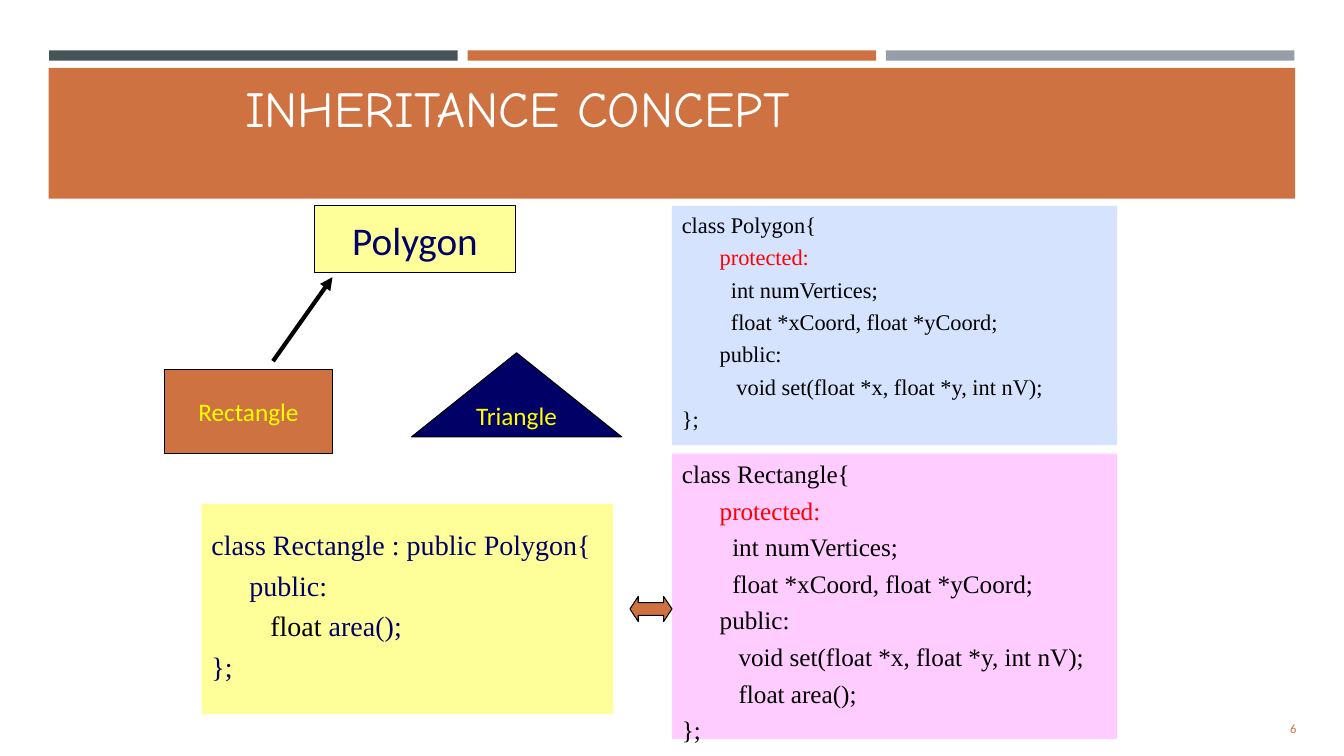
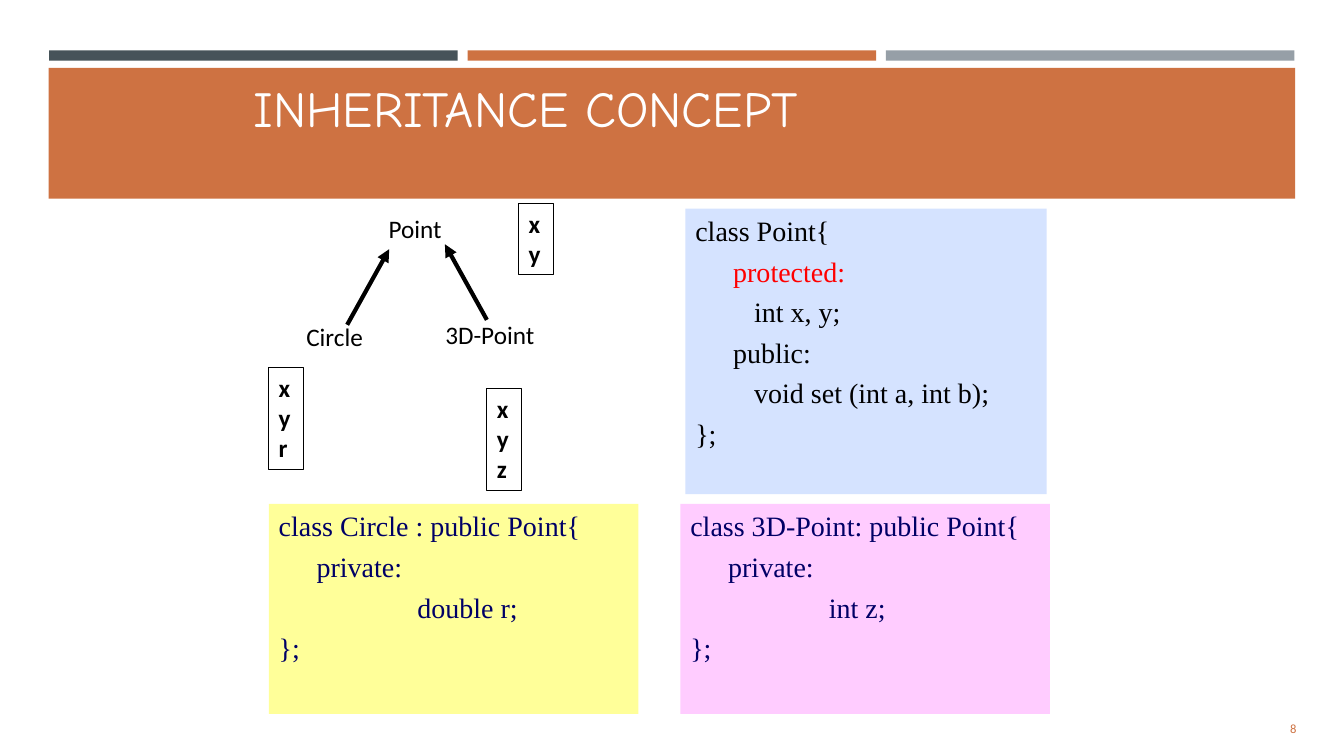
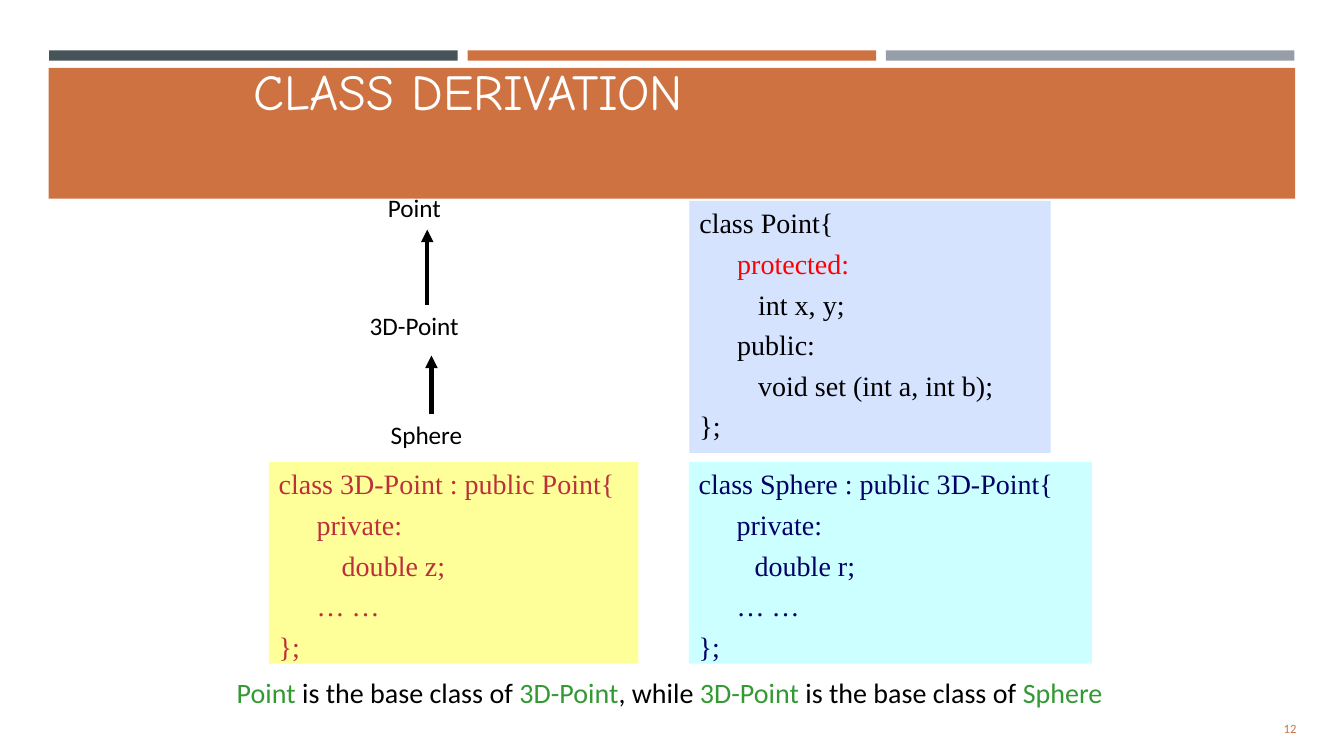
from dataclasses import dataclass

import lxml.etree
import pptx
import pptx.dml.color
import pptx.enum.shapes
import pptx.enum.text
import pptx.oxml.ns
import pptx.util

Pt = pptx.util.Pt
Preset = pptx.enum.shapes.MSO_SHAPE
Anchor = pptx.enum.text.MSO_ANCHOR
Align = pptx.enum.text.PP_ALIGN
qn = pptx.oxml.ns.qn

COLORS = {
    "slate": "465359",
    "orange": "CE7242",
    "grey": "969FA7",
    "white": "FFFFFF",
    "black": "000000",
    "navy": "000066",
    "yellow": "FFFF00",
    "cream": "FFFF99",
    "sky": "D5E3FF",
    "pink": "FFCCFF",
    "cyan": "CCFFFF",
    "red": "FF0000",
    "crimson": "BC303B",
    "green": "339933",
}
BODY, CODE, TITLE = "Calibri", "Times New Roman", "Comic Neue"
TAB = 27


@dataclass(frozen=True)
class Run:
    text: str
    color: str | None = None


@dataclass(frozen=True)
class Line:
    runs: tuple[Run, ...]
    indent: float = 0
    em: float = 0


@dataclass(frozen=True)
class Box:
    left: float
    top: float
    width: float
    height: float


@dataclass(frozen=True)
class Node:
    box: Box
    text: str
    fill: str
    ink: str
    size: float = 18
    preset: Preset = Preset.RECTANGLE


@dataclass(frozen=True)
class Listing:
    box: Box
    fill: str
    ink: str
    lines: tuple[Line, ...]
    size: float = 20
    top_inset: float = 3.6


@dataclass(frozen=True)
class Arrow:
    tail: tuple[float, float]
    tip: tuple[float, float]


def line(text: str, indent: float = 0, em: float = 0, color: str | None = None) -> Line:
    return Line((Run(text, color),), indent, em)


def rgb(name: str) -> pptx.dml.color.RGBColor:
    return pptx.dml.color.RGBColor.from_string(COLORS[name])


def write(frame, lines: tuple[Line, ...], *, size: float, color: str = "black", font: str = BODY,
          bold: bool = False, align=Align.LEFT, anchor=Anchor.TOP, wrap: bool = True,
          before: float = 0, top_inset: float = 3.6) -> None:
    frame.word_wrap = wrap
    frame.vertical_anchor = anchor
    frame.margin_top = Pt(top_inset)
    for index, content in enumerate(lines):
        paragraph = frame.add_paragraph() if index else frame.paragraphs[0]
        paragraph.alignment = align
        paragraph.space_before = Pt(before)
        indent = Pt(content.indent + content.em * size)
        paragraph._p.get_or_add_pPr().set("marL", str(int(indent)))
        for piece in content.runs:
            run = paragraph.add_run()
            run.text = piece.text
            run.font.name = font
            run.font.size = Pt(size)
            run.font.bold = bold
            run.font.color.rgb = rgb(piece.color or color)


def place(box: Box) -> tuple:
    return Pt(box.left), Pt(box.top), Pt(box.width), Pt(box.height)


def draw_shape(slide, box: Box, *, fill: str | None = None, outline: bool = False,
               preset: Preset = Preset.RECTANGLE):
    shape = slide.shapes.add_shape(preset, *place(box))
    shape.shadow.inherit = False
    if fill:
        shape.fill.solid()
        shape.fill.fore_color.rgb = rgb(fill)
    else:
        shape.fill.background()
    if outline:
        shape.line.color.rgb = rgb("black")
        shape.line.width = Pt(0.75)
    else:
        shape.line.fill.background()
    return shape


def draw_text(slide, box: Box, *runs: Run, **text_format) -> None:
    frame = slide.shapes.add_textbox(*place(box)).text_frame
    write(frame, (Line(runs),), **text_format)


def draw_node(slide, node: Node) -> None:
    shape = draw_shape(slide, node.box, fill=node.fill, outline=True, preset=node.preset)
    write(shape.text_frame, (line(node.text),), size=node.size, color=node.ink,
          align=Align.CENTER, anchor=Anchor.MIDDLE, wrap=False)


def draw_listing(slide, listing: Listing) -> None:
    shape = draw_shape(slide, listing.box, fill=listing.fill)
    write(shape.text_frame, listing.lines, size=listing.size, color=listing.ink, font=CODE,
          before=listing.size / 4, top_inset=listing.top_inset)


def draw_members(slide, left: float, top: float, members: str) -> None:
    box = Box(left, top, 24.8, 7.2 + 21.9 * len(members))
    shape = draw_shape(slide, box, outline=True)
    write(shape.text_frame, tuple(line(name) for name in members), size=18, bold=True, wrap=False)


def draw_arrow(slide, arrow: Arrow) -> None:
    connector = slide.shapes.add_connector(
        pptx.enum.shapes.MSO_CONNECTOR.STRAIGHT, *map(Pt, arrow.tail + arrow.tip))
    connector.line.color.rgb = rgb("black")
    connector.line.width = Pt(3)
    lxml.etree.SubElement(connector.line._get_or_add_ln(), qn("a:tailEnd"), type="triangle")
    lxml.etree.SubElement(connector._element.spPr, qn("a:effectLst"))


def start_slide(deck, title: str, number: int, title_left: float = 174, title_top: float = 48):
    slide = deck.slides.add_slide(deck.slide_layouts[6])
    for column, color in enumerate(("slate", "orange", "grey")):
        draw_shape(slide, Box(35.1 + 298.9 * column, 36, 291.8, 7.4), fill=color)
    draw_shape(slide, Box(34.8, 48.5, 890.4, 93.5), fill="orange")
    draw_text(slide, Box(850.3, 506.2, 82.8, 28.8), Run(str(number)), size=9, color="orange",
              align=Align.RIGHT, anchor=Anchor.MIDDLE)
    draw_text(slide, Box(title_left, title_top, 612, 54), Run(title), size=36, color="white",
              font=TITLE, anchor=Anchor.BOTTOM)
    return slide


VERTEX_MEMBERS = (
    line("protected:", TAB, color="red"),
    line("int numVertices;", TAB, 0.5),
    line("float *xCoord, float *yCoord;", TAB, 0.5),
    line("public:", TAB),
    line("void set(float *x, float *y, int nV);", TAB, 0.75),
)
END = line("};")
POINT_CLASS = (
    line("class Point{"),
    line("protected:", TAB, color="red"),
    line("int x, y;", TAB, 0.75),
    line("public:", TAB),
    line("void set (int a, int b);", TAB, 0.75),
    END,
)


def derived_class(header: str, member: str, indent: float, *rest: Line) -> tuple[Line, ...]:
    return (line(header), line("private:", TAB), line(member, indent), *rest, END)


def build_polygon_slide(deck) -> None:
    slide = start_slide(deck, "INHERITANCE CONCEPT", 6, title_left=168)
    for node in (
        Node(Box(117.5, 264, 120, 60), "Rectangle", "orange", "yellow"),
        Node(Box(294, 252, 150, 60), "Triangle", "navy", "yellow",
             preset=Preset.ISOSCELES_TRIANGLE),
        Node(Box(224.5, 147, 144, 48), "Polygon", "cream", "navy", size=28),
    ):
        draw_node(slide, node)
    draw_arrow(slide, Arrow((195, 258), (237.5, 198)))
    area_class = (
        line("class Rectangle : public Polygon{"),
        line("public:", TAB),
        Line((Run("float", "black"), Run(" area();")), TAB, 0.75),
        END,
    )
    for listing in (
        Listing(Box(480, 147, 318, 171), "sky", "black",
                (line("class Polygon{"), *VERTEX_MEMBERS, END), size=16),
        Listing(Box(144, 360, 294, 150), "cream", "navy", area_class, top_inset=17),
        Listing(Box(480, 324, 318, 204), "pink", "black",
                (line("class Rectangle{"), *VERTEX_MEMBERS,
                 line("float area();", TAB, 0.75), END), size=18),
    ):
        draw_listing(slide, listing)
    equivalence = draw_shape(slide, Box(450, 426, 30, 18), fill="orange", outline=True,
                             preset=Preset.LEFT_RIGHT_ARROW)
    equivalence.adjustments[0] = 0.5
    equivalence.adjustments[1] = 0.33


def build_point_slide(deck) -> None:
    slide = start_slide(deck, "INHERITANCE CONCEPT", 8)
    for text, box in (
        ("Point", Box(270.5, 149, 52.5, 29)),
        ("Circle", Box(211.7, 226, 59, 29)),
        ("3D-Point", Box(311, 224.6, 81.4, 29)),
    ):
        draw_text(slide, box, Run(text), size=18, wrap=False)
    for listing in (
        Listing(Box(489.6, 149, 258, 204), "sky", "black", POINT_CLASS),
        Listing(Box(192, 360, 264, 150), "cream", "navy",
                derived_class("class Circle : public Point{", "double r;", 99)),
        Listing(Box(486, 360, 264, 150), "pink", "navy",
                derived_class("class 3D-Point: public Point{", "int z;", 99)),
    ):
        draw_listing(slide, listing)
    draw_members(slide, 370.5, 145.4, "xy")
    draw_members(slide, 192, 262.4, "xyr")
    draw_members(slide, 347.8, 277.4, "xyz")
    draw_arrow(slide, Arrow((248, 232), (278, 178)))
    draw_arrow(slide, Arrow((347.8, 228.5), (317.8, 174.5)))


def build_derivation_slide(deck) -> None:
    slide = start_slide(deck, "CLASS DERIVATION", 12, title_top=36)
    for text, box in (
        ("Point", Box(270, 134, 52.5, 29)),
        ("3D-Point", Box(257, 218.2, 81.4, 29)),
        ("Sphere", Box(272, 296, 65.5, 29)),
    ):
        draw_text(slide, box, Run(text), size=18, wrap=False)
    ellipsis = line("… …", TAB)
    for listing in (
        Listing(Box(492.5, 143.5, 258, 180), "sky", "black", POINT_CLASS),
        Listing(Box(192, 330, 264, 144), "cream", "crimson",
                derived_class("class 3D-Point : public Point{", "double z;", 45, ellipsis)),
        Listing(Box(492, 330, 288, 144), "cyan", "navy",
                derived_class("class Sphere : public 3D-Point{", "double r;", 40, ellipsis)),
    ):
        draw_listing(slide, listing)
    draw_arrow(slide, Arrow((305.2, 218), (305.2, 164)))
    draw_arrow(slide, Arrow((308.2, 296), (308.2, 254)))
    draw_text(slide, Box(162, 479, 641.5, 31.5),
              Run("Point", "green"), Run(" is the base class of "),
              Run("3D-Point", "green"), Run(", while "),
              Run("3D-Point", "green"), Run(" is the base class of "),
              Run("Sphere", "green"), size=20, wrap=False)


def main() -> None:
    deck = pptx.Presentation()
    deck.slide_width, deck.slide_height = Pt(960), Pt(540)
    build_polygon_slide(deck)
    build_point_slide(deck)
    build_derivation_slide(deck)
    deck.save("out.pptx")


if __name__ == "__main__":
    main()
